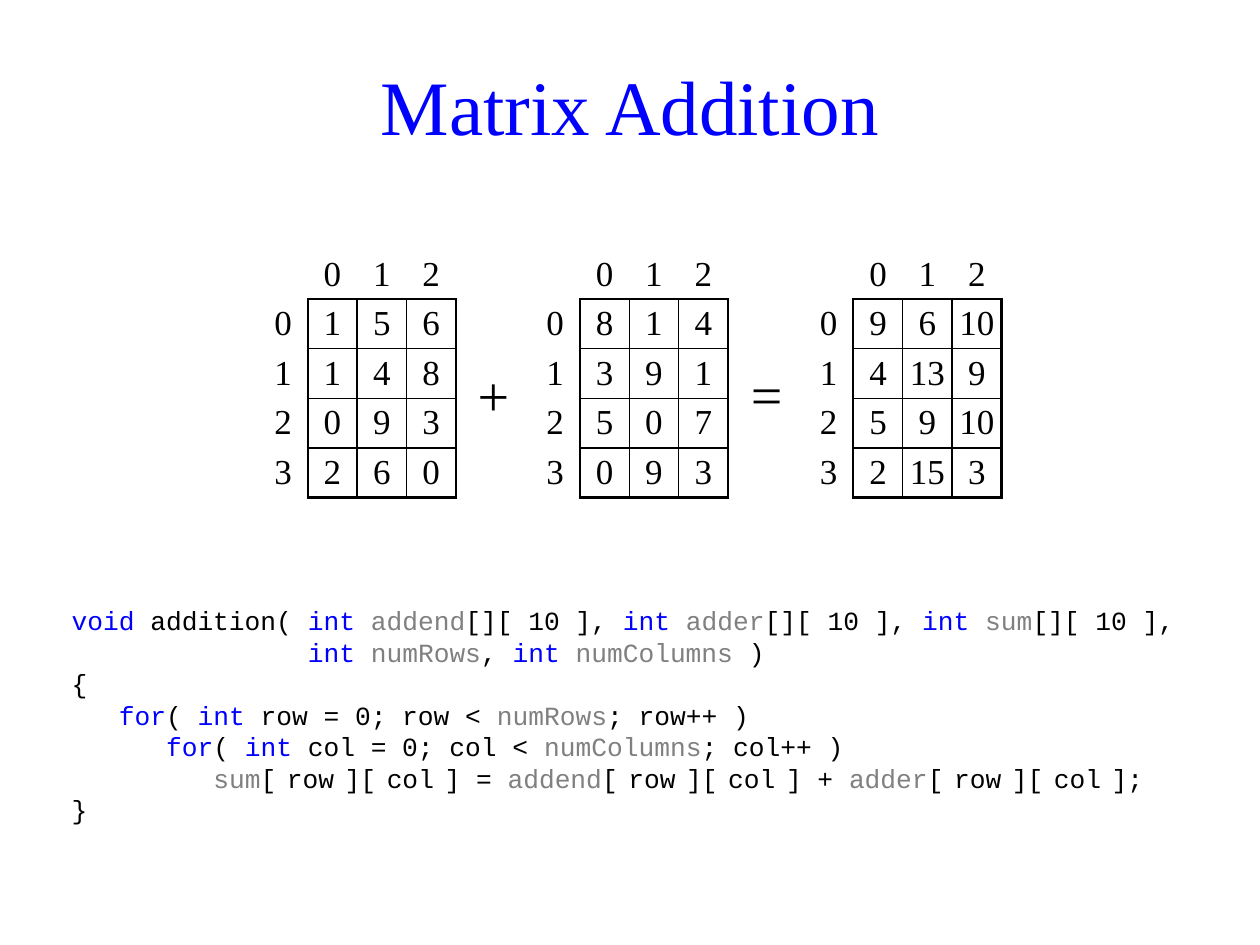
from dataclasses import dataclass

from lxml import etree
from pptx import Presentation
from pptx.dml.color import RGBColor
from pptx.enum.text import MSO_ANCHOR, PP_ALIGN
from pptx.oxml.ns import qn
from pptx.util import Inches, Pt

MIDDLE, TOP = MSO_ANCHOR.MIDDLE, MSO_ANCHOR.TOP
CENTER, LEFT = PP_ALIGN.CENTER, PP_ALIGN.LEFT
SERIF, MONO = "Times New Roman", "Courier New"
COLORS = {"plain": "000000", "keyword": "0000FF", "param": "808080"}
PLAIN_TABLE_STYLE = "{2D5ABB26-0587-4C30-8999-92F81FD0307C}"
OUTER, INNER = 1.5, 1  # border widths in points
CHAR_WIDTH = Inches(0.125)  # one 15 pt monospaced character
BRACKET_GAP = 6  # points around an index


@dataclass
class Matrix:
    left: float
    margin: float
    values: list


@dataclass
class Token:
    text: str
    color: str = "plain"
    gap: int = 0


@dataclass
class CodeLine:
    indent: int
    tokens: list


def keyword(text: str) -> Token:
    return Token(text, "keyword")


def param(text: str) -> Token:
    return Token(text, "param")


def index(name: str) -> list:
    """Tokens of "[name" with a gap inside each bracket."""
    return [Token("[", gap=BRACKET_GAP), Token(name[:-1]),
            Token(name[-1], gap=BRACKET_GAP)]


def element(array: str, after: str) -> list:
    return [param(array), *index("row"), Token("]"), *index("col"), Token("]" + after)]


MATRICES = [
    Matrix(2.05, 0.1, [[1, 5, 6], [1, 4, 8], [0, 9, 3], [2, 6, 0]]),
    Matrix(4.21, 0.1, [[8, 1, 4], [3, 9, 1], [5, 0, 7], [0, 9, 3]]),
    Matrix(6.38, 0.04, [[9, 6, 10], [4, 13, 9], [5, 9, 10], [2, 15, 3]]),
]

CODE = [
    CodeLine(0, [keyword("void"), Token(" addition( "),
                 keyword("int "), param("addend"), Token("[][ 10 ], "),
                 keyword("int "), param("adder"), Token("[][ 10 ], "),
                 keyword("int "), param("sum"), Token("[][ 10 ],")]),
    CodeLine(15, [keyword("int "), param("numRows"), Token(", "),
                  keyword("int "), param("numColumns"), Token(" )")]),
    CodeLine(0, [Token("{")]),
    CodeLine(3, [keyword("for"), Token("( "), keyword("int"), Token(" row = 0; row < "),
                 param("numRows"), Token("; row++ )")]),
    CodeLine(6, [keyword("for"), Token("( "), keyword("int"), Token(" col = 0; col < "),
                 param("numColumns"), Token("; col++ )")]),
    CodeLine(9, [*element("sum", " = "), *element("addend", " + "),
                 *element("adder", ";")]),
    CodeLine(0, [Token("}")]),
]


def add_run(paragraph, token: Token, size: float, font: str) -> None:
    run = paragraph.add_run()
    run.text = token.text
    run.font.size, run.font.name = Pt(size), font
    run.font.color.rgb = RGBColor.from_string(COLORS[token.color])
    if token.gap:
        run.font._element.set("spc", str(token.gap * 100))


def add_text_frame(slide, left: float, top: float, width: float, height: float,
                   anchor, margin_top: float, margin_bottom: float):
    box = slide.shapes.add_textbox(Inches(left), Inches(top), Inches(width), Inches(height))
    frame = box.text_frame
    frame.word_wrap = True
    frame.vertical_anchor = anchor
    frame.margin_top, frame.margin_bottom = Inches(margin_top), Inches(margin_bottom)
    return frame


def add_title(slide, title: str) -> None:
    frame = add_text_frame(slide, 0.47, 0.21, 9.06, 1.18, MIDDLE, 0.11, 0.05)
    paragraph = frame.paragraphs[0]
    paragraph.alignment = CENTER
    add_run(paragraph, keyword(title), 44, SERIF)


def add_operator(slide, left: float, symbol: str, line_spacing: float) -> None:
    frame = add_text_frame(slide, left, 2.77, 0.59, 0.79, MIDDLE, 0, 0)
    paragraph = frame.paragraphs[0]
    paragraph.alignment = CENTER
    paragraph.line_spacing = line_spacing
    add_run(paragraph, Token(symbol), 32, SERIF)


def set_border(cell, side: str, width: float) -> None:
    line = etree.SubElement(cell._tc.get_or_add_tcPr(), qn("a:ln" + side),
                            w=str(Pt(width)))
    fill = etree.SubElement(line, qn("a:solidFill"))
    etree.SubElement(fill, qn("a:srgbClr"), val=COLORS["plain"])


def set_borders(cell, row: int, col: int, last_row: int, last_col: int) -> None:
    """Frame the values heavily, with thin lines between them."""
    if row and col:
        set_border(cell, "L", OUTER if col == 1 else INNER)
        set_border(cell, "R", OUTER if col == last_col else INNER)
        set_border(cell, "T", OUTER if row == 1 else INNER)
        set_border(cell, "B", OUTER if row == last_row else INNER)
    elif row:
        set_border(cell, "R", OUTER)
    elif col:
        set_border(cell, "B", OUTER)


def add_matrix(slide, matrix: Matrix) -> None:
    # Column numbers run along the top, row numbers down the left
    grid = [["", *range(len(matrix.values[0]))]]
    grid += [[number, *values] for number, values in enumerate(matrix.values)]
    rows, cols = len(grid), len(grid[0])
    frame = slide.shapes.add_table(rows, cols, Inches(matrix.left), Inches(1.98),
                                   Inches(1.57), Inches(1.97))
    table = frame.table
    table.first_row = table.horz_banding = False
    table._tbl.tblPr.find(qn("a:tableStyleId")).text = PLAIN_TABLE_STYLE
    for row, labels in enumerate(grid):
        for col, label in enumerate(labels):
            cell = table.cell(row, col)
            margin = matrix.margin if row and col else 0.1
            cell.margin_left = cell.margin_right = Inches(margin)
            cell.margin_top = cell.margin_bottom = 0
            cell.vertical_anchor = MIDDLE
            set_borders(cell, row, col, rows - 1, cols - 1)
            cell.fill.background()
            paragraph = cell.text_frame.paragraphs[0]
            paragraph.alignment = CENTER
            if label != "":
                add_run(paragraph, Token(str(label)), 20, SERIF)


def add_code(slide, lines: list) -> None:
    frame = add_text_frame(slide, 0.47, 4.73, 9.06, 2.17, TOP, 0.07, 0.05)
    frame.margin_right = Inches(0.08)
    for number, line in enumerate(lines):
        paragraph = frame.add_paragraph() if number else frame.paragraphs[0]
        paragraph.alignment = LEFT
        paragraph.line_spacing = Pt(18)
        paragraph._p.get_or_add_pPr().set("marL", str(line.indent * CHAR_WIDTH))
        for token in line.tokens:
            add_run(paragraph, token, 15, MONO)


def main() -> None:
    presentation = Presentation()
    presentation.slide_width, presentation.slide_height = Inches(10), Inches(7.5)
    slide = presentation.slides.add_slide(presentation.slide_layouts[6])
    add_title(slide, "Matrix Addition")
    add_code(slide, CODE)
    # The equation: addend + adder = sum
    for matrix in MATRICES:
        add_matrix(slide, matrix)
    add_operator(slide, 3.62, "+", 0.88)
    add_operator(slide, 5.79, "=", 0.85)
    presentation.save("out.pptx")


if __name__ == "__main__":
    main()
